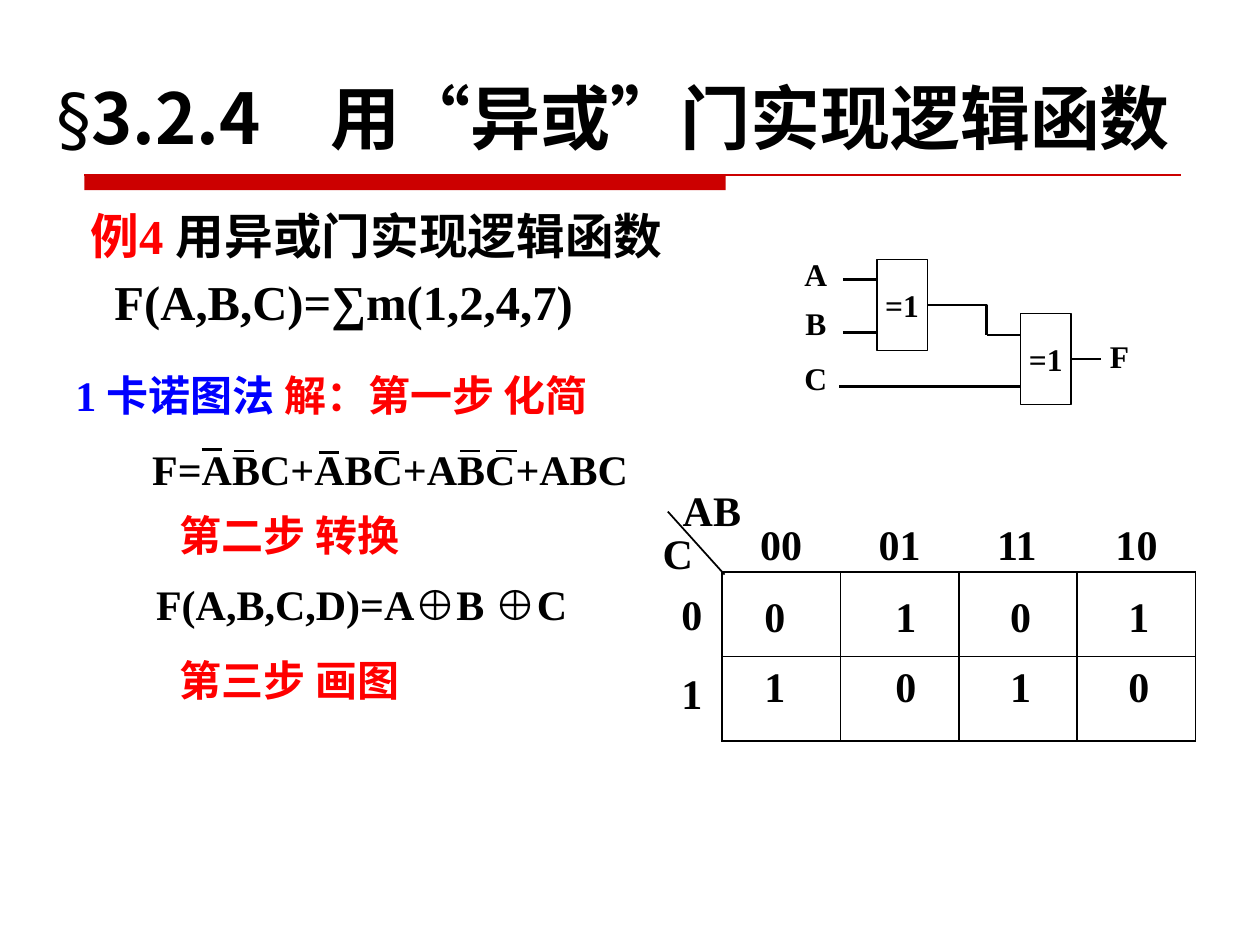
import dataclasses

import lxml.etree
import pptx
import pptx.dml.color
import pptx.enum.shapes
import pptx.enum.text
import pptx.oxml
import pptx.oxml.ns
import pptx.util

ALIGN = pptx.enum.text.PP_ALIGN
ANCHOR = pptx.enum.text.MSO_ANCHOR
CONNECTOR = pptx.enum.shapes.MSO_CONNECTOR
UNIT = pptx.util.Inches(0.1)


@dataclasses.dataclass(frozen=True)
class Theme:
    """Colours, fonts, type sizes and line widths of the slide."""
    ink: str = "000000"
    red: str = "FF0000"
    blue: str = "0000FF"
    bar: str = "CC0000"
    serif: str = "Times New Roman"
    sans: str = "DejaVu Sans"
    chinese: str = "Noto Sans CJK SC"
    title: float = 40
    problem: float = 27.8
    body: float = 24
    circuit: float = 18
    wire: float = 1.5
    grid: float = 1
    thin: float = 0.75


@dataclasses.dataclass(frozen=True)
class Box:
    """A rectangle on a grid of 100 columns and 75 rows."""
    left: float
    top: float
    width: float
    height: float

    def inner(self, left, top, width, height):
        """Return a box placed relative to this one."""
        return Box(self.left + left, self.top + top, width, height)

    def lengths(self):
        """Return left, top, width and height as slide lengths."""
        return [grid_length(value) for value in dataclasses.astuple(self)]


THEME = Theme()


def grid_length(value):
    """Convert grid units into a slide length."""
    return pptx.util.Emu(round(value * UNIT))


def rgb(colour):
    """Return a colour object for a hexadecimal string."""
    return pptx.dml.color.RGBColor.from_string(colour)


def format_run(run, size, colour=THEME.ink, font=THEME.serif, east=THEME.chinese, bold=True):
    """Set the type of one run, with its East Asian font."""
    run.font.size, run.font.bold, run.font.name = pptx.util.Pt(size), bold, font
    run.font.color.rgb = rgb(colour)
    properties = run._r.get_or_add_rPr()
    east_asian = lxml.etree.Element(pptx.oxml.ns.qn("a:ea"), typeface=east)
    properties.find(pptx.oxml.ns.qn("a:latin")).addnext(east_asian)


def fill_paragraph(paragraph, runs, size, align=ALIGN.LEFT, spacing=1.0):
    """Write (text, colour) runs into a paragraph."""
    paragraph.alignment, paragraph.line_spacing = align, spacing
    for text, colour in runs:
        run = paragraph.add_run()
        run.text = text
        format_run(run, size, colour)


def add_text(slide, box, paragraphs, size, align=ALIGN.LEFT, spacing=1.0, before=0, wrap=True):
    """Add a text box and return its text frame."""
    frame = slide.shapes.add_textbox(*box.lengths()).text_frame
    frame.word_wrap = wrap
    for index, runs in enumerate(paragraphs):
        paragraph = frame.add_paragraph() if index else frame.paragraphs[0]
        fill_paragraph(paragraph, runs, size, align, spacing)
        if index:
            paragraph.space_before = pptx.util.Pt(before)
    return frame


def add_line(slide, box, start, end, width, colour=THEME.ink, kind=CONNECTOR.STRAIGHT):
    """Draw a connector between two points given relative to a box."""
    points = [box.left + start[0], box.top + start[1], box.left + end[0], box.top + end[1]]
    line = slide.shapes.add_connector(kind, *map(grid_length, points))
    line.line.width = pptx.util.Pt(width)
    line.line.color.rgb = rgb(colour)
    lxml.etree.SubElement(line._element.spPr, pptx.oxml.ns.qn("a:effectLst"))
    return line


def add_title(slide, box):
    """Place and format the title."""
    title = slide.shapes.title
    title.left, title.top, title.width, title.height = box.lengths()
    frame = title.text_frame
    frame.auto_size = pptx.enum.text.MSO_AUTO_SIZE.NONE
    frame.vertical_anchor = ANCHOR.BOTTOM
    paragraph = frame.paragraphs[0]
    paragraph.alignment = ALIGN.LEFT
    pieces = [("§", THEME.sans, THEME.sans, False),
              ("3.2.4　", THEME.chinese, THEME.chinese, True),
              ("用“异或”门实现逻辑函数", THEME.sans, THEME.chinese, True)]
    for text, font, east, bold in pieces:
        run = paragraph.add_run()
        run.text = text
        format_run(run, THEME.title, THEME.ink, font, east, bold)


def add_title_rule(slide, box):
    """Draw the thick bar and the thin line under the title."""
    bar = slide.shapes.add_shape(pptx.enum.shapes.MSO_SHAPE.RECTANGLE,
                                 *box.inner(0, 0, 50.9, box.height).lengths())
    bar.shadow.inherit = False
    bar.fill.solid()
    bar.fill.fore_color.rgb = rgb(THEME.bar)
    bar.line.fill.background()
    add_line(slide, box, (0, 0), (box.width, 0), THEME.thin, THEME.bar)


def add_problem(slide, box):
    """Write the example and its function."""
    paragraphs = [[("例4 ", THEME.red), ("用异或门实现逻辑函数", THEME.ink)],
                  [("F(A,B,C)=∑m(1,2,4,7)", THEME.ink)]]
    frame = add_text(slide, box, paragraphs, THEME.problem, spacing=0.9, before=7.5)
    frame.paragraphs[1]._p.get_or_add_pPr().set("marL", str(grid_length(1.9)))


def add_steps(slide, box):
    """Write the solution steps and the bars over negated variables."""
    steps = [(0, 0, 53.9, [("1 卡诺图法 ", THEME.blue), ("解：第一步 化简", THEME.red)]),
             (6.1, 5.9, 41.3, [("F=ABC+ABC+ABC+ABC", THEME.ink)]),
             (8.3, 11.1, 29.1, [("第二步 转换", THEME.red)]),
             (6.4, 16.6, 40.5, [("F(A,B,C,D)=A⊕B ⊕C", THEME.ink)]),
             (8.3, 22.6, 29.1, [("第三步 画图", THEME.red)])]
    for left, top, width, runs in steps:
        add_text(slide, box.inner(left, top, width, 4.2), [runs], THEME.body, spacing=0.8)
    for left, top in [(11, 6.1), (13.6, 6.2), (20.3, 6.3), (25.1, 6.3), (31.5, 6.2), (34.4, 6.2)]:
        add_line(slide, box, (left, top), (left + 1.6, top), THEME.wire)


def add_gate(slide, box):
    """Draw one exclusive-or gate."""
    gate = slide.shapes.add_shape(pptx.enum.shapes.MSO_SHAPE.RECTANGLE, *box.lengths())
    gate.shadow.inherit = False
    gate.fill.background()
    gate.line.color.rgb = rgb(THEME.ink)
    gate.line.width = pptx.util.Pt(THEME.thin)
    gate.text_frame.word_wrap = False
    gate.text_frame.vertical_anchor = ANCHOR.MIDDLE
    fill_paragraph(gate.text_frame.paragraphs[0], [("=1", THEME.ink)], THEME.circuit, ALIGN.CENTER)
    return gate


def add_circuit(slide, box):
    """Draw two gates in cascade with their inputs and output."""
    first_gate, last_gate = [add_gate(slide, box.inner(left, top, 4, 7.2))
                             for left, top in [(7, 0.3), (18.4, 4.6)]]
    wires = [((4.3, 1.9), (7.1, 1.9)), ((4.3, 6.1), (7.1, 6.1)), ((4, 10.4), (18.4, 10.4)),
             ((15.7, 6.3), (18.4, 6.3))]
    for start, end in wires:
        add_line(slide, box, start, end, THEME.wire)
    for gate, start, end in [(first_gate, (11, 3.9), (13.4, 3.9)),
                             (last_gate, (22.4, 8.2), (24.8, 8.2))]:
        add_line(slide, box, start, end, THEME.wire).begin_connect(gate, 3)
    elbow = add_line(slide, box, (13.4, 3.9), (15.7, 6.3), THEME.wire, kind=CONNECTOR.ELBOW)
    adjustments = elbow._element.spPr.find(".//" + pptx.oxml.ns.qn("a:avLst"))
    lxml.etree.SubElement(adjustments, pptx.oxml.ns.qn("a:gd"), name="adj1", fmla="val 100000")
    for letters, left, top, height in [("AB", 0, 0, 7.4), ("C", 0, 8.3, 3.4), ("F", 24.1, 6.5, 3.4)]:
        add_text(slide, box.inner(left, top, 4.3, height), [[(letter, THEME.ink)] for letter in letters],
                 THEME.circuit, ALIGN.CENTER, spacing=0.8, before=11.2)


def format_cell(cell, text, shift, margin_top):
    """Rule one map cell on all sides and write its value."""
    for side in ("L", "R", "T", "B"):
        cell._tc.get_or_add_tcPr().append(pptx.oxml.parse_xml(
            f'<a:ln{side} {pptx.oxml.ns.nsdecls("a")} w="{pptx.util.Pt(THEME.grid)}">'
            f'<a:solidFill><a:srgbClr val="{THEME.ink}"/></a:solidFill></a:ln{side}>'))
    cell.fill.background()
    cell.margin_left, cell.margin_right = grid_length(1 + shift), grid_length(1 - shift)
    cell.margin_top, cell.margin_bottom = grid_length(margin_top), 0
    fill_paragraph(cell.text_frame.paragraphs[0], [(text, THEME.ink)], THEME.body, ALIGN.CENTER)


def add_karnaugh_map(slide, box):
    """Draw the Karnaugh map with its variable and code labels."""
    cells = box.inner(5.7, 7.4, 37.6, 13.4)
    columns, rows = ("00", "01", "11", "10"), ("0101", "1010")
    table = slide.shapes.add_table(len(rows), len(columns), *cells.lengths()).table
    table.first_row = table.horz_banding = False
    for row, (values, margin_top) in enumerate(zip(rows, (1.8, 0.7))):
        for column, (value, shift) in enumerate(zip(values, (-0.5, 0.5, 0.2, 0.2))):
            format_cell(table.cell(row, column), value, shift, margin_top)
    pitch = cells.width / len(columns)
    labels = [(code, 7.75 + pitch * index, 2.7, 5.3) for index, code in enumerate(columns)]
    labels += [(str(index), 1.5, 8.2 + 6.3 * index, 4.2) for index in range(len(rows))]
    labels += [("AB", 1.6, 0, 6.6), ("C", 0, 3.4, 4.2)]
    for text, left, top, width in labels:
        add_text(slide, box.inner(left, top, width, 5), [[(text, THEME.ink)]], THEME.body, wrap=False)
    add_line(slide, box, (1.4, 2.6), (5.9, 7.6), THEME.grid)


def main():
    """Build the slide and save it."""
    presentation = pptx.Presentation()
    presentation.slide_width, presentation.slide_height = 100 * UNIT, 75 * UNIT
    slide = presentation.slides.add_slide(presentation.slide_layouts.get_by_name("Title Only"))
    add_title_rule(slide, Box(6.7, 13.9, 87, 1.2))
    add_title(slide, Box(3.5, 3.4, 96.5, 9.7))
    add_problem(slide, Box(6.2, 16.4, 54.6, 11.7))
    add_steps(slide, Box(5, 29.6, 53.9, 26.8))
    add_circuit(slide, Box(62.6, 20.3, 28.4, 11.7))
    add_karnaugh_map(slide, Box(51.6, 38, 43.3, 20.8))
    presentation.save("out.pptx")


if __name__ == "__main__":
    main()
